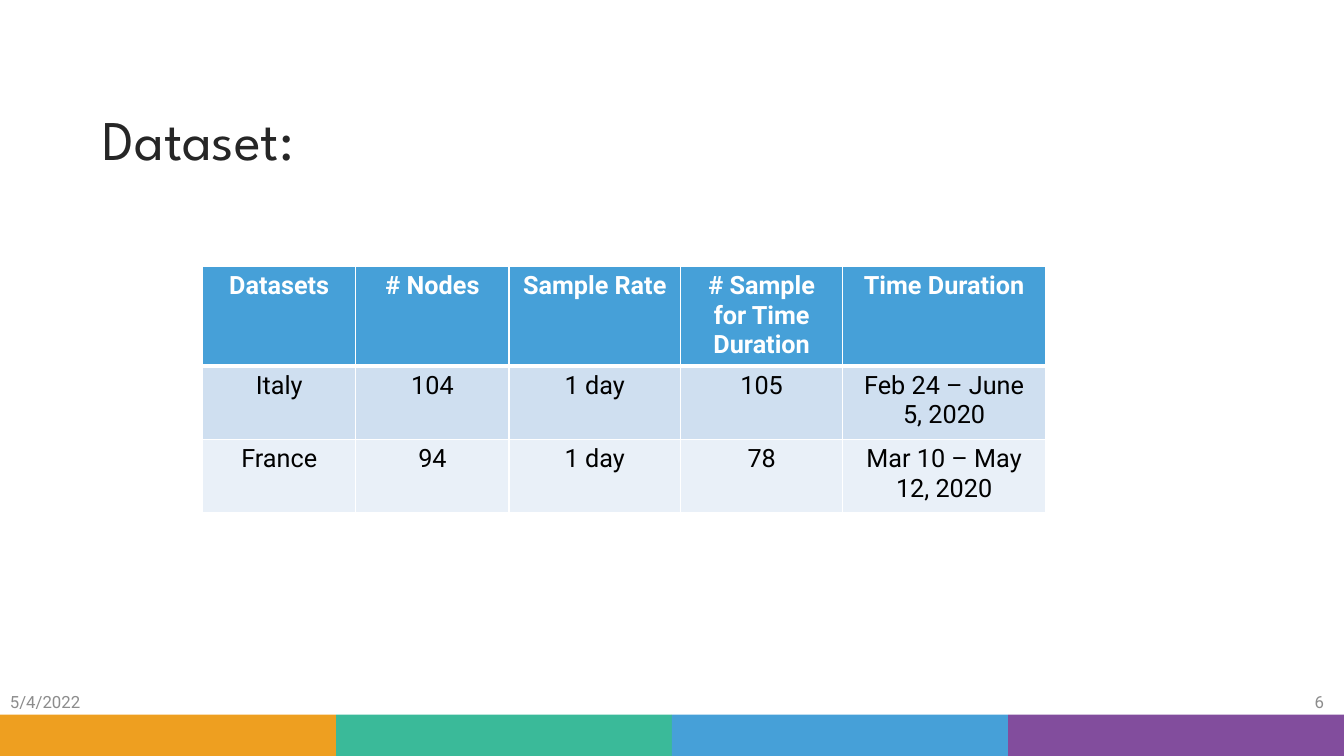
"""Build the dataset overview slide: title, table, footer and colour band."""
from lxml import etree
from pptx import Presentation
from pptx import util as u
from pptx.dml.color import RGBColor
from pptx.enum import shapes, text
from pptx.oxml.ns import qn

COLORS = {
    "orange": "EE9F20", "green": "3ABA99", "blue": "46A0D8", "purple": "824D9D",
    "title": "262626", "footer": "8C8C8C", "white": "FFFFFF", "black": "000000",
    "band_dark": "CFDFF0", "band_light": "E9F0F8",
}
TITLE = "Dataset:"
ROWS = [
    ("Datasets", "# Nodes", "Sample Rate", "# Sample for Time Duration", "Time Duration"),
    ("Italy", "104", "1 day", "105", "Feb 24 – June 5, 2020"),
    ("France", "94", "1 day", "78", "Mar 10 – May 12, 2020"),
]
ROW_FILLS = ["blue", "band_dark", "band_light"]
COL_WIDTHS = [1.52, 1.52, 1.7, 1.61, 2.01]
ROW_HEIGHTS = [0.99, 0.73, 0.73]
STRIPES = ["orange", "green", "blue", "purple"]
ALIGN = text.PP_ALIGN
FOOTERS = [("5/4/2022", 0, ALIGN.LEFT), ("6", 10.23, ALIGN.RIGHT)]
W, H = 13.33, 7.5
STRIPE_H = 0.41


def rgb(name):
    return RGBColor.from_string(COLORS[name])


def box(left, top, width, height):
    return [u.Inches(v) for v in (left, top, width, height)]


def write(tf, words, size, font, color, align=ALIGN.LEFT, bold=False):
    p = tf.paragraphs[0]
    p.alignment = align
    r = p.add_run()
    r.text = words
    r.font.size = u.Pt(size)
    r.font.name = font
    r.font.bold = bold
    r.font.color.rgb = rgb(color)
    return p


def border(cell, side, points):
    tc_pr = cell._tc.get_or_add_tcPr()
    ln = etree.SubElement(tc_pr, qn(f"a:ln{side}"), w=str(u.Pt(points)))
    fill = etree.SubElement(ln, qn("a:solidFill"))
    etree.SubElement(fill, qn("a:srgbClr"), val=COLORS["white"])


def add_stripes(s):
    width = W / len(STRIPES)
    for i, color in enumerate(STRIPES):
        sp = s.shapes.add_shape(shapes.MSO_SHAPE.RECTANGLE,
                                *box(i * width, H - STRIPE_H, width, STRIPE_H))
        sp.shadow.inherit = False
        sp.fill.solid()
        sp.fill.fore_color.rgb = rgb(color)
        sp.line.fill.background()


def add_title(s):
    title = s.shapes.title
    title.left, title.top, title.width, title.height = box(0.92, 0.88, 7.58, 1.06)
    title.text_frame.vertical_anchor = text.MSO_ANCHOR.MIDDLE
    p = write(title.text_frame, TITLE, 40, "League Spartan", "title")
    p.line_spacing = 0.9


def add_dataset_table(s):
    frame = s.shapes.add_table(len(ROWS), len(COL_WIDTHS),
                               *box(2.01, 2.64, sum(COL_WIDTHS), sum(ROW_HEIGHTS)))
    table = frame.table
    for col, width in zip(table.columns, COL_WIDTHS):
        col.width = u.Inches(width)
    for i, (row, height) in enumerate(zip(table.rows, ROW_HEIGHTS)):
        row.height = u.Inches(height)
        header = i == 0
        for cell, words in zip(row.cells, ROWS[i]):
            for side in "LRTB":
                thick = (header and side == "B") or (i == 1 and side == "T")
                border(cell, side, 3 if thick else 1)
            cell.fill.solid()
            cell.fill.fore_color.rgb = rgb(ROW_FILLS[i])
            write(cell.text_frame, words, 18, "Roboto",
                  "white" if header else "black", ALIGN.CENTER, header)


def add_footers(s):
    for words, left, align in FOOTERS:
        tf = s.shapes.add_textbox(*box(left, 6.76, 3, 0.4)).text_frame
        tf.word_wrap = True
        tf.vertical_anchor = text.MSO_ANCHOR.MIDDLE
        write(tf, words, 12, "Roboto", "footer", align)


def main():
    prs = Presentation()
    prs.slide_width, prs.slide_height = u.Inches(W), u.Inches(H)
    s = prs.slides.add_slide(prs.slide_layouts[5])
    add_stripes(s)
    add_title(s)
    add_dataset_table(s)
    add_footers(s)
    prs.save("out.pptx")


if __name__ == "__main__":
    main()
